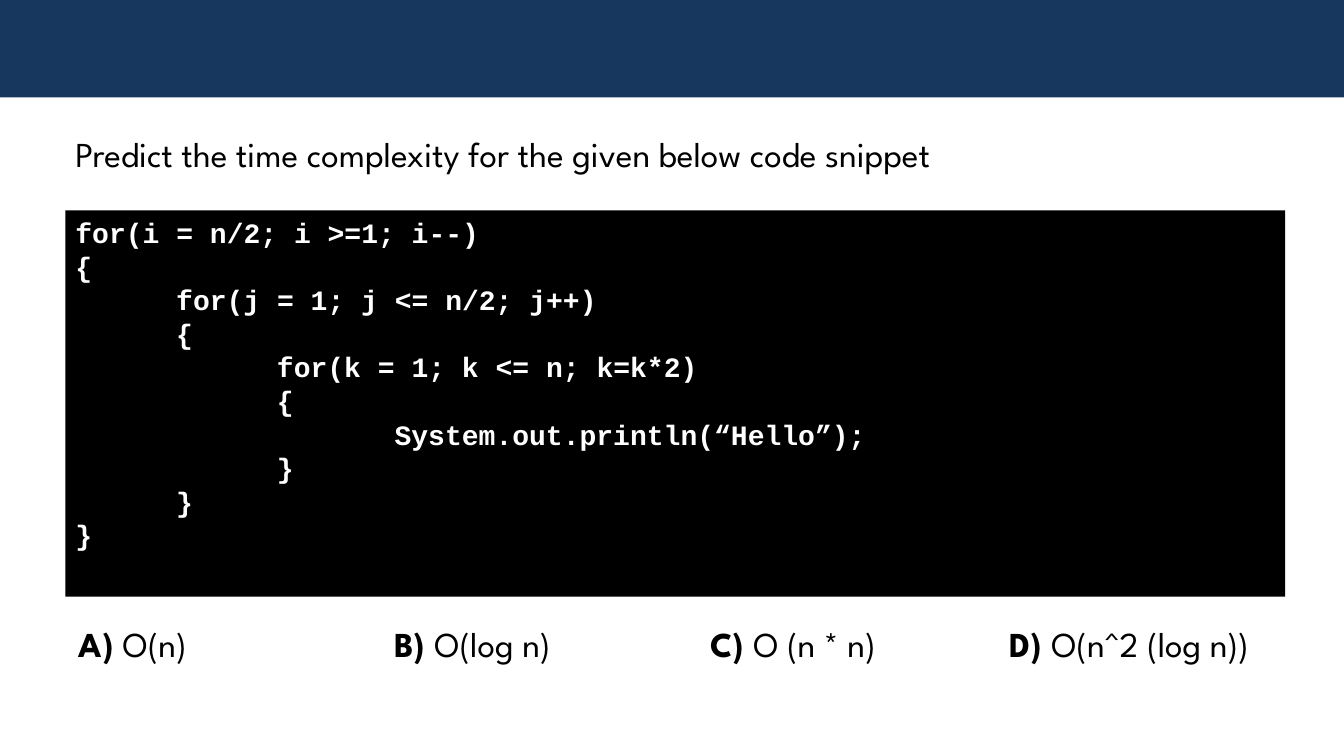
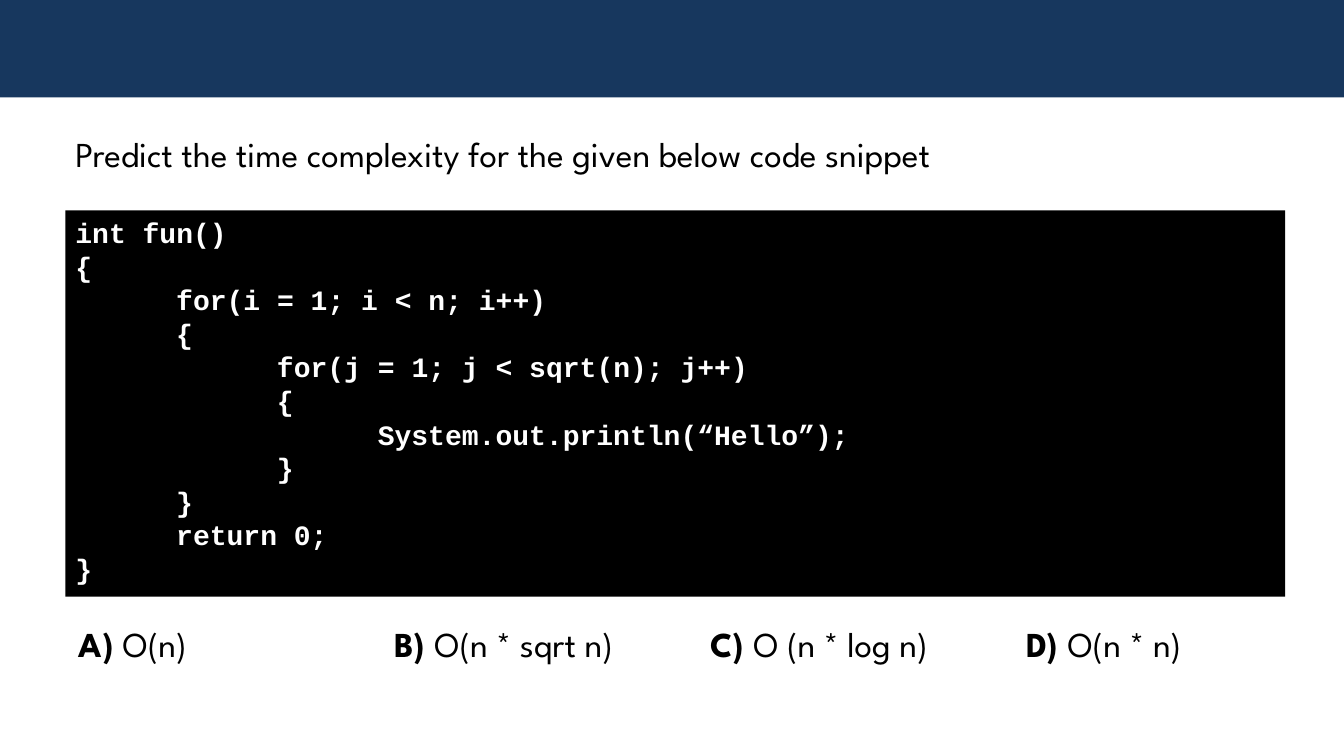
from pptx import Presentation
from pptx.dml.color import RGBColor
from pptx.enum.shapes import MSO_SHAPE as SHAPE
from pptx.enum.text import MSO_ANCHOR as ANCHOR, MSO_AUTO_SIZE as AUTO, PP_ALIGN as ALIGN
from pptx.util import Pt

COLORS = {"band": "17375E", "code_bg": "000000", "code": "FFFFFF", "text": "000000"}
BODY_FONT, CODE_FONT = "League Spartan", "Courier New"
WIDTH, HEIGHT = 960, 540
LEFT = 46.8
TAB = 72
OPTION_LEFT, OPTION_PITCH, OPTION_TOP = 49, 225.6, 426.2
HEADING = "Predict the time complexity for the given below code snippet"

QUESTIONS = [
    {
        "code": """for(i = n/2; i >=1; i--)
{
\tfor(j = 1; j <= n/2; j++)
\t{
\t\tfor(k = 1; k <= n; k=k*2)
\t\t{
\t\t\t System.out.println(“Hello”);
\t\t}
\t}
}""",
        "options": ["O(n)", "O(log n)", "O (n * n)", "O(n^2 (log n))"],
        "last_left": 714.2,
    },
    {
        "code": """int fun()
{
\tfor(i = 1; i < n; i++)
\t{
\t\tfor(j = 1; j < sqrt(n); j++)
\t\t{
\t\t\tSystem.out.println(“Hello”);
\t\t}
\t}
\treturn 0;
}""",
        "options": ["O(n)", "O(n * sqrt n)", "O (n * log n)", "O(n * n)"],
        "last_left": OPTION_LEFT + 3 * OPTION_PITCH,
    },
]


def rgb(name):
    return RGBColor.from_string(COLORS[name])


def style(p, font, size, color, bold=None):
    p.font.name = font
    p.font.size = Pt(size)
    p.font.color.rgb = rgb(color)
    p.font.bold = bold


def add_rect(s, left, top, width, height, color):
    sp = s.shapes.add_shape(SHAPE.RECTANGLE, Pt(left), Pt(top), Pt(width), Pt(height))
    sp.shadow.inherit = False
    sp.fill.solid()
    sp.fill.fore_color.rgb = rgb(color)
    sp.line.fill.background()
    return sp


def add_text(s, left, top, width, height):
    tf = s.shapes.add_textbox(Pt(left), Pt(top), Pt(width), Pt(height)).text_frame
    tf.word_wrap = True
    tf.auto_size = AUTO.SHAPE_TO_FIT_TEXT
    p = tf.paragraphs[0]
    style(p, BODY_FONT, 25, "text")
    return p


def add_code(s, code):
    tf = add_rect(s, LEFT, 150.3, 871.2, 275.9, "code_bg").text_frame
    tf.word_wrap = True
    tf.vertical_anchor = ANCHOR.TOP
    for i, line in enumerate(code.split("\n")):
        p = tf.add_paragraph() if i else tf.paragraphs[0]
        p.text = line.lstrip("\t")
        p.alignment = ALIGN.LEFT
        p._p.get_or_add_pPr().set("marL", str(Pt(TAB * line.count("\t"))))
        style(p, CODE_FONT, 20, "code", True)


def add_option(s, left, letter, answer):
    p = add_text(s, left, OPTION_TOP, 210, 49)
    p.line_spacing = 1.5
    r = p.add_run()
    r.text = f"{letter}) "
    r.font.bold = True
    p.add_run().text = answer


def add_question(prs, code, options, last_left):
    s = prs.slides.add_slide(prs.slide_layouts[6])
    add_rect(s, 0, 0, WIDTH, 69.6, "band")
    add_text(s, LEFT, 91.4, 862.6, 37.4).text = HEADING
    add_code(s, code)
    lefts = [OPTION_LEFT + i * OPTION_PITCH for i in range(3)] + [last_left]
    for left, letter, answer in zip(lefts, "ABCD", options):
        add_option(s, left, letter, answer)


def main():
    prs = Presentation()
    prs.slide_width, prs.slide_height = Pt(WIDTH), Pt(HEIGHT)
    for question in QUESTIONS:
        add_question(prs, **question)
    prs.save("out.pptx")


if __name__ == "__main__":
    main()
